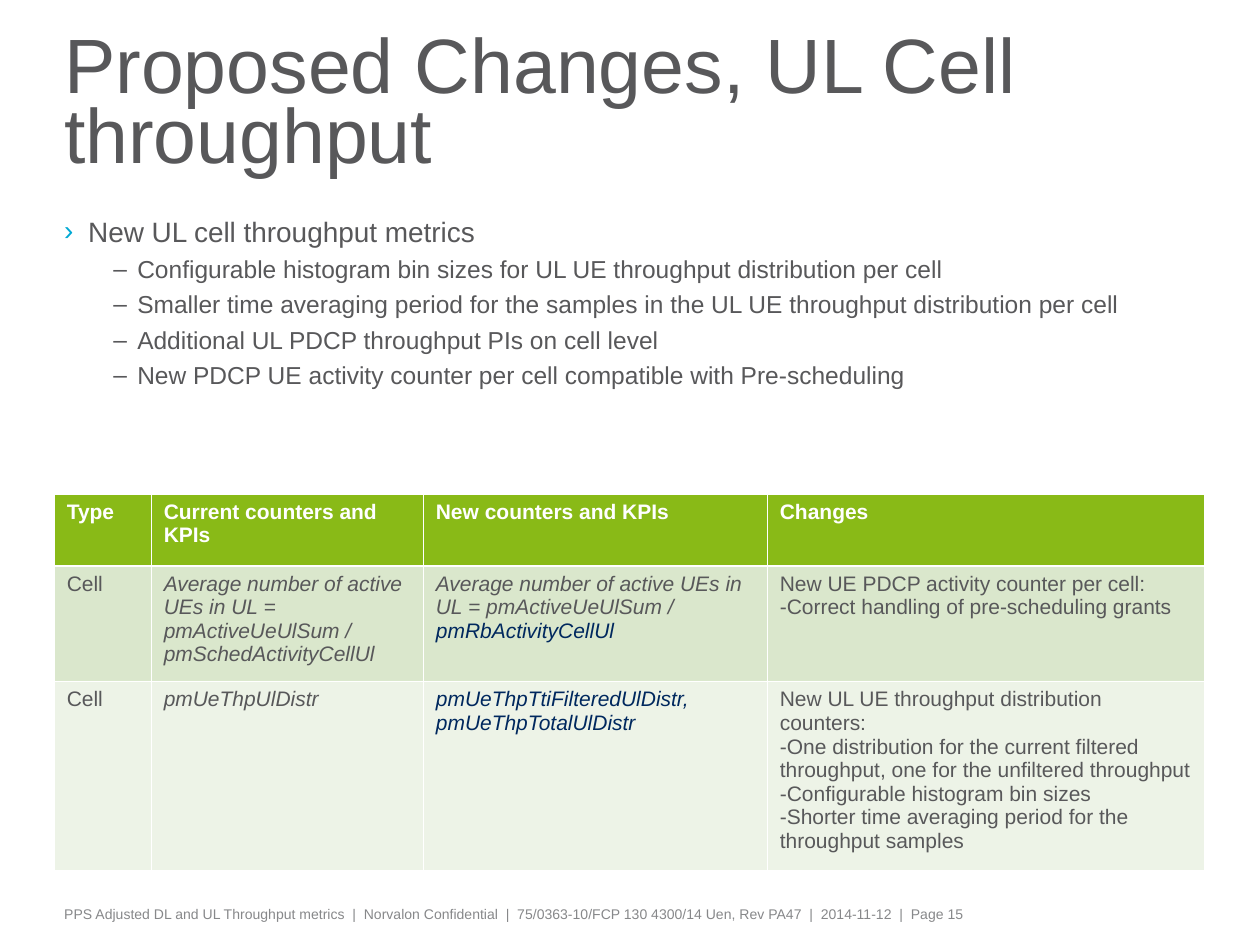
from lxml import etree
from pptx import Presentation
from pptx.dml.color import RGBColor
from pptx.enum.text import MSO_ANCHOR
from pptx.oxml.ns import qn
from pptx.util import Inches, Pt

TOP, MIDDLE = MSO_ANCHOR.TOP, MSO_ANCHOR.MIDDLE
COLORS = {
    "text": "58585A", "footer": "87888A", "accent": "00A9D4", "new": "00285E",
    "white": "FFFFFF", "header": "89BA17", "band1": "DAE7CC", "band2": "EDF3E7",
}
LEFT = 0.43

BULLETS = [
    (0, "New UL cell throughput metrics"),
    (1, "Configurable histogram bin sizes for UL UE throughput distribution per cell"),
    (1, "Smaller time averaging period for the samples in the UL UE throughput distribution per cell"),
    (1, "Additional UL PDCP throughput PIs on cell level"),
    (1, "New PDCP UE activity counter per cell compatible with Pre-scheduling"),
]
LEVELS = [
    {"char": "›", "color": "accent", "indent": 0.19, "size": 16, "before": 4},
    {"char": "–", "color": "text", "indent": 0.58, "size": 14, "before": 3.5},
]
HANGING = 0.19

HEADERS = ["Type", "Current counters and KPIs", "New counters and KPIs", "Changes"]
ROWS = [
    ["Cell",
     "Average number of active UEs in UL = pmActiveUeUlSum / pmSchedActivityCellUl",
     ("Average number of active UEs in UL = pmActiveUeUlSum / ", "pmRbActivityCellUl"),
     "New UE PDCP activity counter per cell:\n"
     "-Correct handling of pre-scheduling grants"],
    ["Cell",
     "pmUeThpUlDistr",
     ("", "pmUeThpTtiFilteredUlDistr, pmUeThpTotalUlDistr"),
     "New UL UE throughput distribution counters:\n"
     "-One distribution for the current filtered throughput, one for the unfiltered throughput\n"
     "-Configurable histogram bin sizes\n"
     "-Shorter time averaging period for the throughput samples"],
]
COL_WIDTHS = [0.77, 2.16, 2.73, 3.47]
ROW_HEIGHTS = [0.57, 0.92, 1.5]
THIN, THICK = 0.45, 1.47


class SlideBuilder:
    """Holds the style and the current slide, and draws each kind of element."""

    def __init__(self, prs, font="Arial"):
        self.slide = prs.slides.add_slide(prs.slide_layouts[6])
        self.font = font

    def rgb(self, name):
        return RGBColor.from_string(COLORS[name])

    def style(self, font, size, color="text", bold=False, italic=False):
        font.name, font.size = self.font, Pt(size)
        font.bold, font.italic = bold, italic
        font.color.rgb = self.rgb(color)

    def text(self, box, text, size, color="text", anchor=TOP, inset=0, spacing=None):
        sp = self.slide.shapes.add_textbox(*map(Inches, box))
        tf = sp.text_frame
        tf.word_wrap = True
        tf.vertical_anchor = anchor
        tf.margin_left = tf.margin_right = Inches(0.08)
        tf.margin_top = tf.margin_bottom = Inches(inset)
        tf.text = text
        for p in tf.paragraphs:
            p.line_spacing = spacing
            for r in p.runs:
                self.style(r.font, size, color)
        return tf

    def bullets(self, box, items):
        tf = self.text(box, "\n".join(text for _, text in items), LEVELS[0]["size"])
        for i, (p, (level, _)) in enumerate(zip(tf.paragraphs, items)):
            look = LEVELS[level]
            p.level = level
            if i:
                p.space_before = Pt(look["before"])
            pPr = p._p.get_or_add_pPr()
            pPr.set("marL", str(Inches(look["indent"])))
            pPr.set("indent", str(-Inches(HANGING)))
            clr = etree.SubElement(pPr, qn("a:buClr"))
            etree.SubElement(clr, qn("a:srgbClr"), val=COLORS[look["color"]])
            etree.SubElement(pPr, qn("a:buFont"), typeface=self.font)
            etree.SubElement(pPr, qn("a:buChar"), char=look["char"])
            self.style(p.runs[0].font, look["size"])

    def border(self, cell, row):
        tcPr = cell._tc.get_or_add_tcPr()
        widths = {"L": THIN, "R": THIN, "T": THICK if row == 1 else THIN,
                  "B": THICK if row == 0 else THIN}
        for side, width in widths.items():
            ln = etree.SubElement(tcPr, qn("a:ln" + side), w=str(Pt(width)))
            fill = etree.SubElement(ln, qn("a:solidFill"))
            etree.SubElement(fill, qn("a:srgbClr"), val=COLORS["white"])

    def cell(self, cell, row, col, content, fill):
        self.border(cell, row)
        cell.fill.solid()
        cell.fill.fore_color.rgb = self.rgb(fill)
        kept, new = content if isinstance(content, tuple) else (content, "")
        tf = cell.text_frame
        tf.text = kept
        for p in tf.paragraphs:
            for r in p.runs:
                self.style(r.font, 12, "text" if row else "white",
                           bold=row == 0, italic=row > 0 and col in (1, 2))
        if new:
            r = tf.paragraphs[0].add_run()
            r.text = new
            self.style(r.font, 12, "new", italic=True)

    def table(self, left, top, rows, widths, heights, fills):
        size = (sum(widths), sum(heights))
        table = self.slide.shapes.add_table(
            len(rows), len(widths), *map(Inches, (left, top, *size))).table
        for column, width in zip(table.columns, widths):
            column.width = Inches(width)
        for i, (row, height) in enumerate(zip(rows, heights)):
            table.rows[i].height = Inches(height)
            for j, content in enumerate(row):
                self.cell(table.cell(i, j), i, j, content, fills[i])


def main():
    prs = Presentation()
    prs.slide_width, prs.slide_height = Inches(10), Inches(7.5)
    s = SlideBuilder(prs)
    s.text((LEFT, 7.14, 8.09, 0.24),
           "PPS Adjusted DL and UL Throughput metrics  |  Norvalon Confidential  |  "
           "75/0363-10/FCP 130 4300/14 Uen, Rev PA47  |  2014-11-12  |  Page 15",
           8, "footer", inset=0.05)
    s.text((LEFT, 0.26, 8.2, 1.19), "Proposed Changes, UL Cell throughput",
           44, anchor=MIDDLE, spacing=0.75)
    s.table(LEFT, 3.92, [HEADERS, *ROWS], COL_WIDTHS, ROW_HEIGHTS,
            ["header", "band1", "band2"])
    s.bullets((LEFT, 1.7, 9.13, 1.67), BULLETS)
    prs.save("out.pptx")


if __name__ == "__main__":
    main()
